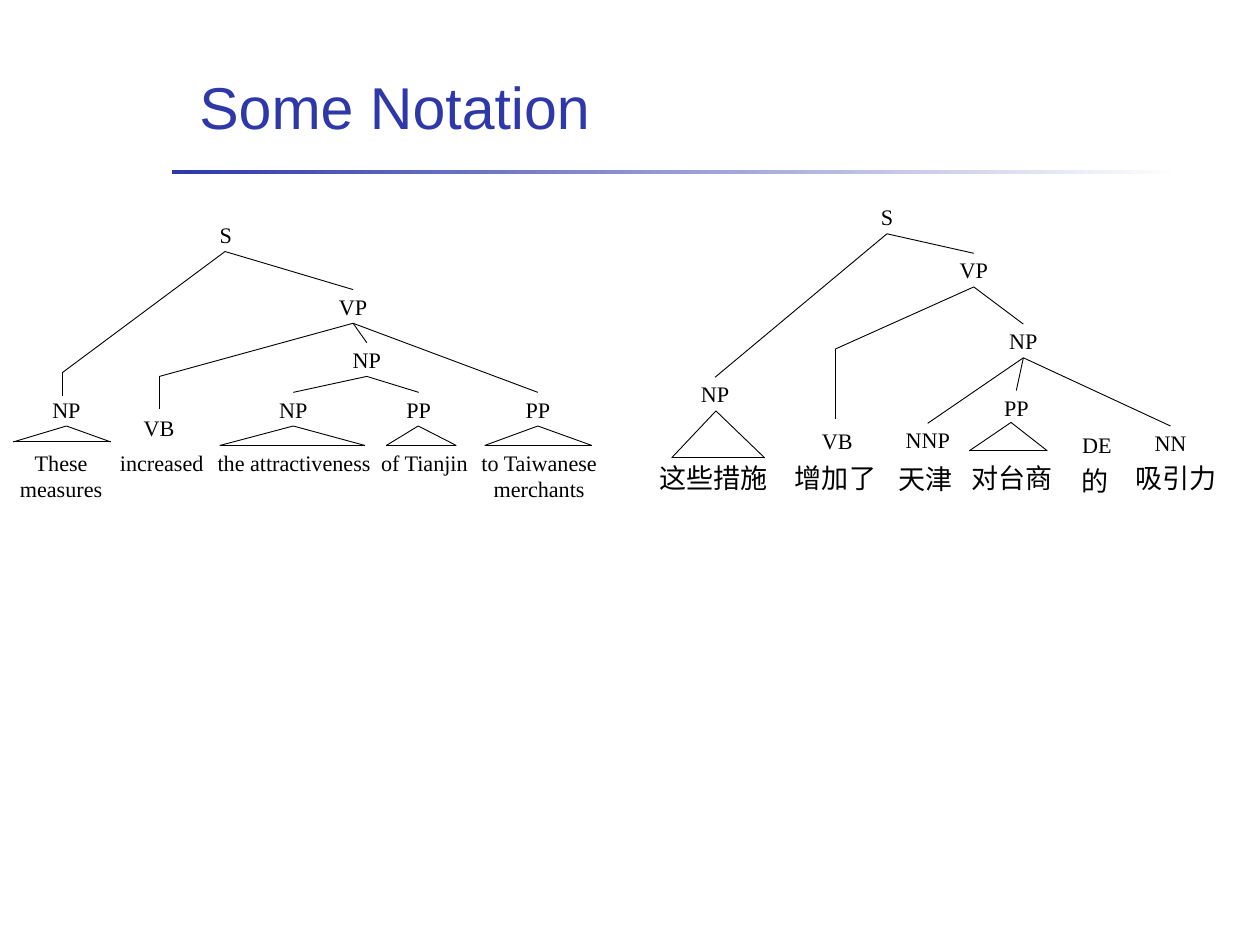
from dataclasses import dataclass
from itertools import pairwise

from lxml.etree import SubElement
from pptx import Presentation
from pptx.dml.color import RGBColor
from pptx.enum.shapes import MSO_CONNECTOR, MSO_SHAPE
from pptx.enum.text import MSO_ANCHOR, MSO_AUTO_SIZE, PP_ALIGN
from pptx.oxml.ns import qn
from pptx.util import Inches, Pt


@dataclass(frozen=True)
class Theme:
    blue: RGBColor = RGBColor(0x2E, 0x38, 0xA8)
    black: RGBColor = RGBColor(0, 0, 0)
    white: RGBColor = RGBColor(255, 255, 255)
    title_font: str = "Arial"
    latin_font: str = "Times New Roman"
    chinese_font: str = "Noto Sans CJK SC"
    title_size: int = 48
    latin_size: int = 18
    chinese_size: int = 22
    line_width: float = 0.75


THEME = Theme()
TITLE = "Some Notation"
LABEL_HEIGHT = 0.38

# name: text, left, top, width
ENGLISH_LABELS = {
    "sentence": ("S", 2.4, 2.46, 0.28),
    "verb phrase": ("VP", 3.74, 3.27, 0.49),
    "object": ("NP", 3.8, 3.87, 0.68),
    "subject": ("NP", 0.27, 4.43, 0.96),
    "verb": ("VB", 1.4, 4.64, 0.79),
    "noun": ("NP", 2.96, 4.43, 0.7),
    "of phrase": ("PP", 4.45, 4.43, 0.55),
    "to phrase": ("PP", 5.8, 4.43, 0.54),
}
CHINESE_LABELS = {
    "sentence": ("S", 9.75, 2.26, 0.52),
    "verb phrase": ("VP", 10.7, 2.86, 0.58),
    "object": ("NP", 11.26, 3.66, 0.58),
    "subject": ("NP", 7.78, 4.26, 0.58),
    "verb": ("VB", 9.15, 4.79, 0.6),
    "place": ("NNP", 10.13, 4.78, 0.68),
    "to phrase": ("PP", 11.13, 4.41, 0.68),
    "particle": ("DE", 12.1, 4.83, 0.56),
    "noun": ("NN", 12.89, 4.81, 0.64),
}
# parent, child, points that replace a straight run to the child
ENGLISH_BRANCHES = [
    ("sentence", "subject", [(0.7, 4.21), (0.7, 4.47)]),
    ("sentence", "verb phrase", []),
    ("verb phrase", "verb", [(1.8, 4.25), (1.8, 4.62)]),
    ("verb phrase", "object", []),
    ("verb phrase", "to phrase", []),
    ("object", "noun", []),
    ("object", "of phrase", []),
]
CHINESE_BRANCHES = [
    ("sentence", "subject", []),
    ("sentence", "verb phrase", []),
    ("verb phrase", "verb", [(9.43, 3.94), (9.43, 4.73)]),
    ("verb phrase", "object", []),
    ("object", "place", []),
    ("object", "to phrase", []),
    ("object", "noun", []),
]
# apex x, apex y, base left, base right, base y
ROOFS = [
    (0.75, 4.81, 0.15, 1.25, 4.99),
    (3.31, 4.81, 2.48, 4.12, 5.03),
    (4.72, 4.81, 4.36, 5.15, 5.03),
    (6.07, 4.81, 5.47, 6.68, 5.03),
    (8.08, 4.64, 7.58, 8.63, 5.17),
    (11.41, 4.77, 10.94, 11.82, 5.09),
]
# text, left, top, width, height
ENGLISH_WORDS = [
    ("These measures", -0.07, 5.03, 1.52, 0.69),
    ("increased", 1.24, 5.03, 1.17, 0.38),
    ("the attractiveness", 2.2, 5.03, 2.24, 0.38),
    ("of Tianjin", 4.12, 5.03, 1.34, 0.38),
    ("to Taiwanese merchants", 5.21, 5.03, 1.75, 0.69),
]
CHINESE_WORDS = [
    ("这些措施", 7.35, 5.17, 1.4, 0.45),
    ("增加了", 8.75, 5.17, 1.36, 0.45),
    ("天津", 9.91, 5.18, 1.08, 0.45),
    ("对台商", 10.86, 5.17, 1.12, 0.45),
    ("的", 12.02, 5.2, 0.68, 0.45),
    ("吸引力", 12.61, 5.17, 1.33, 0.45),
]


def write(frame, text, font, size, color, align, margins):
    side, end = margins
    frame.margin_left = frame.margin_right = Inches(side)
    frame.margin_top = frame.margin_bottom = Inches(end)
    frame.word_wrap = True
    para = frame.paragraphs[0]
    para.alignment = align
    span = para.add_run()
    span.text = text
    span.font.size = Pt(size)
    span.font.color.rgb = color
    span.font.name = font
    SubElement(span.font._element, qn("a:ea"), typeface=font)


def add_text(page, text, left, top, width, height, font, size):
    box = page.shapes.add_textbox(Inches(left), Inches(top), Inches(width), Inches(height))
    write(box.text_frame, text, font, size, THEME.black, PP_ALIGN.CENTER, (0.08, 0.04))


def add_lines(page, points):
    for (x1, y1), (x2, y2) in pairwise(points):
        line = page.shapes.add_connector(
            MSO_CONNECTOR.STRAIGHT, Inches(x1), Inches(y1), Inches(x2), Inches(y2))
        line.line.color.rgb = THEME.black
        line.line.width = Pt(THEME.line_width)
        SubElement(line._element.spPr, qn("a:effectLst"))


def add_tree(page, labels, branches):
    for text, left, top, width in labels.values():
        add_text(page, text, left, top, width, LABEL_HEIGHT, THEME.latin_font, THEME.latin_size)
    for parent, child, bends in branches:
        _, left, top, width = labels[parent]
        start = (left + width / 2, top + LABEL_HEIGHT)
        _, left, top, width = labels[child]
        add_lines(page, [start, *(bends or [(left + width / 2, top)])])


def add_heading(page):
    rule = page.shapes.add_shape(
        MSO_SHAPE.RECTANGLE, Inches(1.94), Inches(1.92), Inches(11.37), Inches(0.05))
    rule.shadow.inherit = False
    rule.line.fill.background()
    rule.fill.gradient()
    rule.fill.gradient_angle = 0
    for stop, color in zip(rule.fill.gradient_stops, (THEME.blue, THEME.white)):
        stop.color.rgb = color

    title = page.shapes.title
    title.left, title.top = Inches(2.11), Inches(0.49)
    title.width, title.height = Inches(11.17), Inches(1.42)
    frame = title.text_frame
    frame.auto_size = MSO_AUTO_SIZE.NONE
    frame.vertical_anchor = MSO_ANCHOR.MIDDLE
    write(frame, TITLE, THEME.title_font, THEME.title_size, THEME.blue,
          PP_ALIGN.LEFT, (0.14, 0.07))


def main():
    deck = Presentation()
    deck.slide_width, deck.slide_height = Inches(14.22), Inches(10.67)
    page = deck.slides.add_slide(deck.slide_layouts[5])
    add_heading(page)
    add_tree(page, CHINESE_LABELS, CHINESE_BRANCHES)
    add_tree(page, ENGLISH_LABELS, ENGLISH_BRANCHES)
    for x, y, left, right, base in ROOFS:
        add_lines(page, [(x, y), (left, base), (right, base), (x, y)])
    for word in CHINESE_WORDS:
        add_text(page, *word, THEME.chinese_font, THEME.chinese_size)
    for word in ENGLISH_WORDS:
        add_text(page, *word, THEME.latin_font, THEME.latin_size)
    deck.save("out.pptx")


if __name__ == "__main__":
    main()
